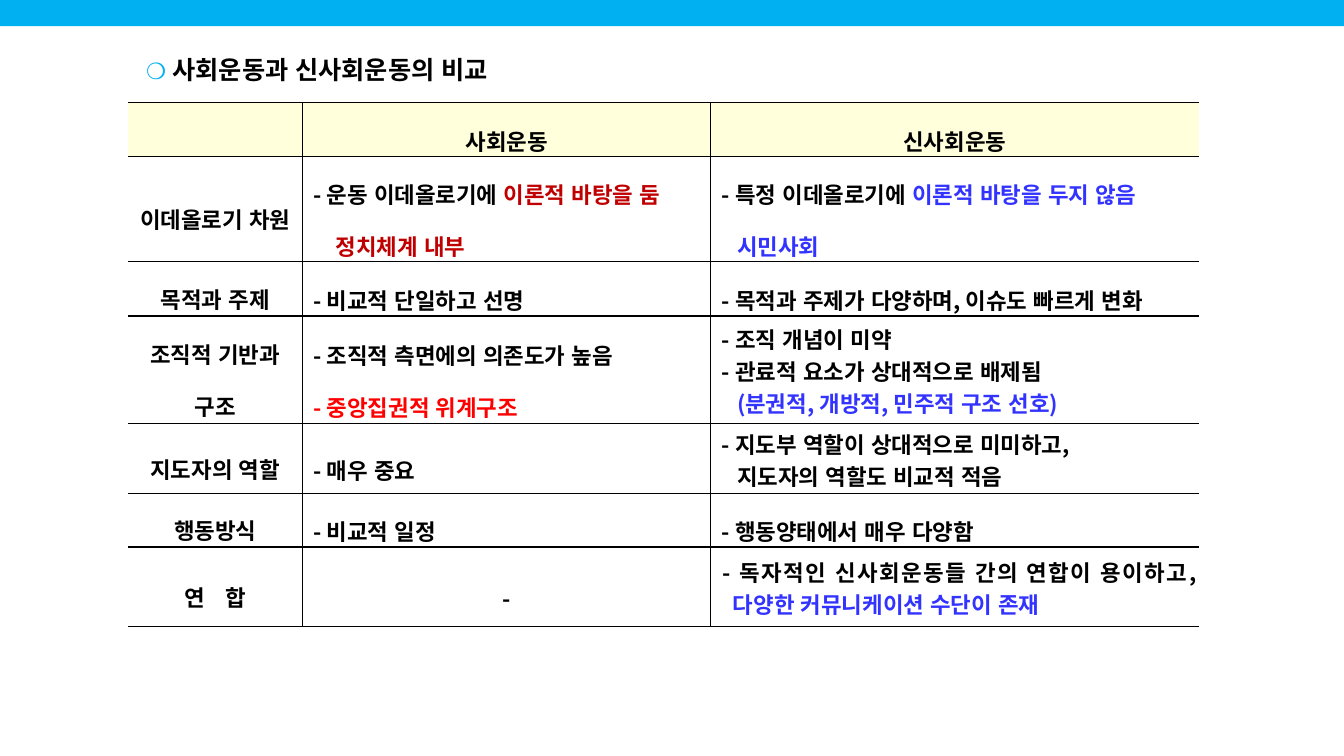
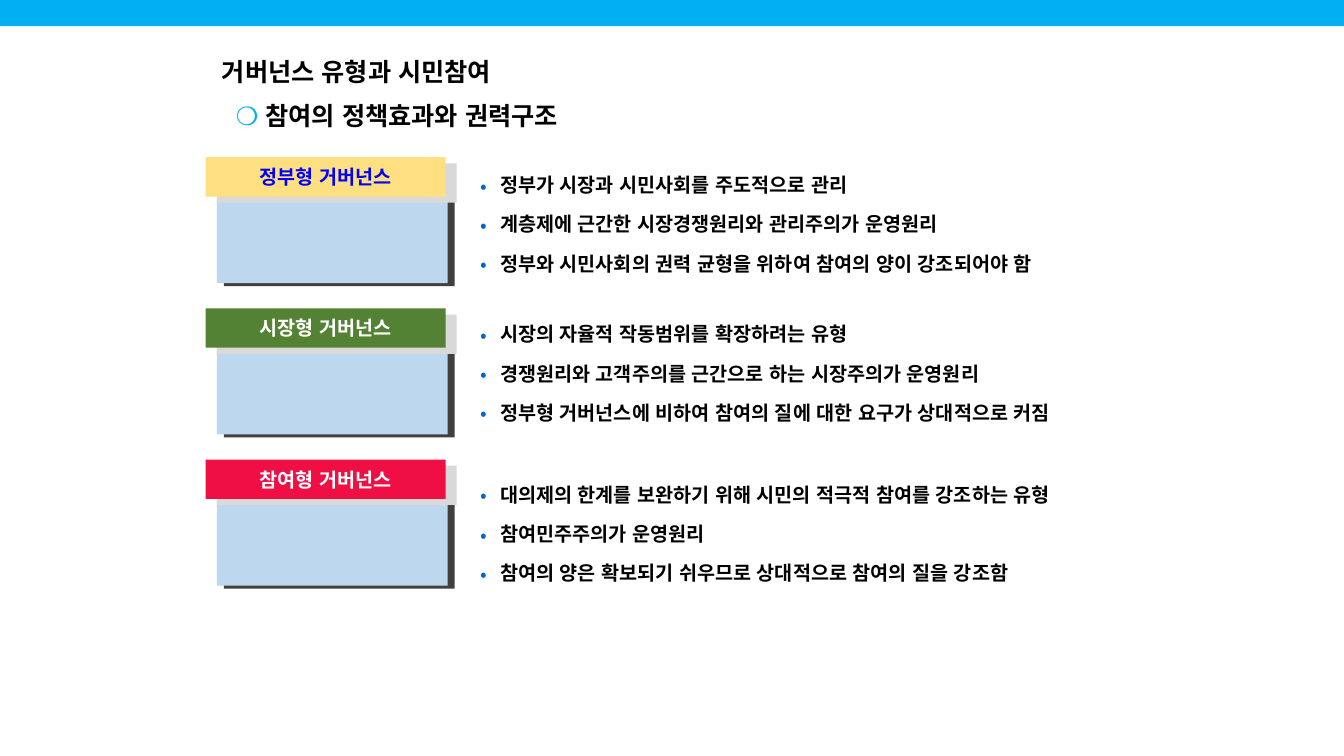
from dataclasses import dataclass

import lxml.etree
import pptx
import pptx.dml.color
import pptx.enum.lang
import pptx.enum.shapes
import pptx.enum.text
import pptx.oxml.ns
import pptx.util

Inches = pptx.util.Inches
Pt = pptx.util.Pt
ALIGN = pptx.enum.text.PP_ALIGN
ANCHOR = pptx.enum.text.MSO_ANCHOR
qn = pptx.oxml.ns.qn

FONT = "Noto Sans CJK KR"
SKY, BLACK, WHITE = "00B0F0", "000000", "FFFFFF"
DARK_RED, RED, BLUE = "C00000", "FF0000", "3333FF"
HEADER_FILL, BULLET_BLUE = "FFFFCC", "0066CC"
NO_STYLE_TABLE = "{2D5ABB26-0587-4C30-8999-92F81FD0307C}"


@dataclass(frozen=True)
class Run:
    text: str
    color: str = BLACK
    size: float = 16
    spread: float = 0


@dataclass(frozen=True)
class Line:
    """One paragraph; left and hang are in inches, before is in points."""
    runs: tuple[Run, ...]
    align: ALIGN = ALIGN.LEFT
    spacing: float = 1.0
    before: float = 0
    left: float = 0
    hang: float = 0
    bullet: str = ""
    bullet_color: str = BLACK


@dataclass(frozen=True)
class Governance:
    name: str
    fill: str
    name_color: str
    list_top: float
    points: tuple[str, ...]


def rgb(color: str) -> pptx.dml.color.RGBColor:
    return pptx.dml.color.RGBColor.from_string(color)


def add_color(parent, color: str) -> None:
    lxml.etree.SubElement(parent, qn("a:srgbClr"), val=color)


def write_lines(frame, lines: tuple[Line, ...]) -> None:
    for index, line in enumerate(lines):
        paragraph = frame.paragraphs[0] if index == 0 else frame.add_paragraph()
        paragraph.alignment = line.align
        paragraph.line_spacing = line.spacing
        paragraph.space_before = Pt(line.before)
        properties = paragraph._p.get_or_add_pPr()
        properties.set("marL", str(Inches(line.left)))
        properties.set("indent", str(Inches(-line.hang)))
        if line.bullet:
            add_color(lxml.etree.SubElement(properties, qn("a:buClr")), line.bullet_color)
            lxml.etree.SubElement(properties, qn("a:buFont"), typeface=FONT)
            lxml.etree.SubElement(properties, qn("a:buChar"), char=line.bullet)
        for part in line.runs:
            run = paragraph.add_run()
            run.text = part.text
            run.font.name = FONT
            run.font.size = Pt(part.size)
            run.font.bold = True
            run.font.color.rgb = rgb(part.color)
            run.font.language_id = pptx.enum.lang.MSO_LANGUAGE_ID.KOREAN
            lxml.etree.SubElement(run._r.rPr, qn("a:ea"), typeface=FONT)
            if part.spread:
                run._r.rPr.set("spc", str(round(part.spread * 100)))


def add_block(slide, left: float, top: float, width: float, height: float, fill: str):
    block = slide.shapes.add_shape(
        pptx.enum.shapes.MSO_SHAPE.RECTANGLE,
        Inches(left), Inches(top), Inches(width), Inches(height))
    block.shadow.inherit = False
    block.fill.solid()
    block.fill.fore_color.rgb = rgb(fill)
    block.line.fill.background()
    return block


def fill_placeholder(holder, left: float, top: float, width: float, height: float,
                     lines: tuple[Line, ...]) -> None:
    holder.left, holder.top = Inches(left), Inches(top)
    holder.width, holder.height = Inches(width), Inches(height)
    frame = holder.text_frame
    frame.word_wrap = True
    frame.auto_size = pptx.enum.text.MSO_AUTO_SIZE.NONE
    frame.vertical_anchor = ANCHOR.TOP
    write_lines(frame, lines)


def add_slide(deck, layout_name: str):
    slide = deck.slides.add_slide(deck.slide_layouts.get_by_name(layout_name))
    add_block(slide, 0, 0, 13.33, 0.26, SKY)
    return slide


def heading(text: str, ring_size: float, spacing: float) -> Line:
    return Line((Run("❍ ", SKY, ring_size), Run(text, size=18)),
                spacing=spacing, before=10, left=0.2)


def label(*runs: Run) -> Line:
    return Line(runs, ALIGN.CENTER, 1.6)


def item(*runs: Run, spacing: float = 1.6, left: float = 0.09, hang: float = 0) -> Line:
    """A line led by a dash in the colour of its first run."""
    return Line((Run("- ", runs[0].color), *runs), ALIGN.JUSTIFY, spacing,
                left=left, hang=hang)


def follow(*runs: Run, spacing: float = 1.6, left: float = 0.24) -> Line:
    """A line that carries on the item above it."""
    return Line(runs, ALIGN.JUSTIFY, spacing, left=left)


COLUMN_WIDTHS = (1.73, 4.05, 4.84)
ROW_HEIGHTS = (0.47, 0.76, 0.54, 1.07, 0.69, 0.49, 0.79)
COMPARISON = (
    ((), (label(Run("사회운동")),), (label(Run("신사회운동")),)),
    ((label(Run("이데올로기 차원")),),
     (item(Run("운동 이데올로기에 "), Run("이론적 바탕을 둠", DARK_RED)),
      follow(Run("정치체계 내부", DARK_RED), left=0.31)),
     (item(Run("특정 이데올로기에 "), Run("이론적 바탕을 두지 않음", BLUE)),
      follow(Run("시민사회", BLUE)))),
    ((label(Run("목적과 주제")),),
     (item(Run("비교적 단일하고 선명")),),
     (item(Run("목적과 주제가 다양하며, 이슈도 빠르게 변화")),)),
    ((label(Run("조직적 기반과")), label(Run("구조"))),
     (item(Run("조직적 측면에의 의존도가 높음")), item(Run("중앙집권적 위계구조", RED))),
     (item(Run("조직 개념이 미약"), spacing=1),
      item(Run("관료적 요소가 상대적으로 배제됨"), spacing=1),
      follow(Run("(분권적, 개방적, 민주적 구조 선호)", BLUE), spacing=1))),
    ((label(Run("지도자의 역할")),),
     (item(Run("매우 중요")),),
     (item(Run("지도부 역할이 상대적으로 미미하고,"), spacing=1),
      follow(Run("지도자의 역할도 비교적 적음"), spacing=1))),
    ((label(Run("행동방식")),),
     (item(Run("비교적 일정")),),
     (item(Run("행동양태에서 매우 다양함")),)),
    ((label(Run("연 ", spread=5), Run("합")),),
     (label(Run("-")),),
     (item(Run("독자적인 신사회운동들 간의 연합이 용이하고, "),
           Run("다양한 커뮤니케이션 수단이 존재", BLUE),
           spacing=1, left=0.2, hang=0.1),)),
)

GOVERNANCES = (
    Governance("정부형 거버넌스", "FFE080", "0000FF", 1.55, (
        "정부가 시장과 시민사회를 주도적으로 관리",
        "계층제에 근간한 시장경쟁원리와 관리주의가 운영원리",
        "정부와 시민사회의 권력 균형을 위하여 참여의 양이 강조되어야 함")),
    Governance("시장형 거버넌스", "548235", WHITE, 3.03, (
        "시장의 자율적 작동범위를 확장하려는 유형",
        "경쟁원리와 고객주의를 근간으로 하는 시장주의가 운영원리",
        "정부형 거버넌스에 비하여 참여의 질에 대한 요구가 상대적으로 커짐")),
    Governance("참여형 거버넌스", "EF0F44", WHITE, 4.62, (
        "대의제의 한계를 보완하기 위해 시민의 적극적 참여를 강조하는 유형",
        "참여민주주의가 운영원리",
        "참여의 양은 확보되기 쉬우므로 상대적으로 참여의 질을 강조함")),
)


def set_borders(cell, sides: str) -> None:
    """Rule the given sides, in the order L, R, T, B, ahead of the cell's fill."""
    properties = cell._tc.get_or_add_tcPr()
    for position, side in enumerate(sides):
        rule = lxml.etree.Element(qn(f"a:ln{side}"), w=str(Pt(1)))
        add_color(lxml.etree.SubElement(rule, qn("a:solidFill")), BLACK)
        properties.insert(position, rule)


def add_comparison(slide) -> None:
    table = slide.shapes.add_table(
        len(ROW_HEIGHTS), len(COLUMN_WIDTHS), Inches(1.27), Inches(1.02),
        Inches(sum(COLUMN_WIDTHS)), Inches(sum(ROW_HEIGHTS))).table
    table.first_row = table.horz_banding = False
    table._tbl.tblPr.find(qn("a:tableStyleId")).text = NO_STYLE_TABLE
    for column, width in zip(table.columns, COLUMN_WIDTHS):
        column.width = Inches(width)
    for row, height in zip(table.rows, ROW_HEIGHTS):
        row.height = Inches(height)
    for row_index, contents in enumerate(COMPARISON):
        for column_index, lines in enumerate(contents):
            cell = table.cell(row_index, column_index)
            cell.margin_left = cell.margin_right = Inches(0.02)
            cell.margin_top = Inches(0.02 if column_index else 0)
            cell.margin_bottom = 0
            if row_index == 0:
                cell.vertical_anchor = ANCHOR.TOP
                cell.fill.solid()
                cell.fill.fore_color.rgb = rgb(HEADER_FILL)
                tint = cell._tc.tcPr.find(qn("a:solidFill")).find(qn("a:srgbClr"))
                lxml.etree.SubElement(tint, qn("a:alpha"), val="70000")
            else:
                cell.vertical_anchor = ANCHOR.MIDDLE
                cell.fill.background()
            set_borders(cell, ("RTB", "LRTB", "LTB")[column_index])
            write_lines(cell.text_frame, lines)


def add_governance(slide, holder, governance: Governance, top: float) -> None:
    add_block(slide, 2.22, top + 0.33, 2.29, 0.95, "404040")
    add_block(slide, 2.15, top + 0.3, 2.29, 0.95, "BDD7EE")
    add_block(slide, 2.15, top + 0.06, 2.38, 0.39, "D9D9D9")
    name_plate = add_block(slide, 2.04, top, 2.38, 0.39, governance.fill)
    frame = name_plate.text_frame
    frame.margin_left = frame.margin_right = 0
    frame.word_wrap = True
    frame.vertical_anchor = ANCHOR.MIDDLE
    write_lines(frame, (Line((Run(governance.name, governance.name_color, 14),),
                             ALIGN.CENTER),))
    fill_placeholder(holder, 4.28, governance.list_top, 6.84, 1.21, tuple(
        Line((Run(point, size=14),), spacing=1.5, before=2.8, left=0.58, hang=0.19,
             bullet="•", bullet_color=BULLET_BLUE)
        for point in governance.points))


def build_comparison_slide(deck) -> None:
    slide = add_slide(deck, "Title Only")
    fill_placeholder(slide.shapes.title, 1.15, 0.52, 8.98, 0.41,
                     (heading("사회운동과 신사회운동의 비교", 16, 0.9),))
    add_comparison(slide)


def build_governance_slide(deck) -> None:
    slide = add_slide(deck, "Comparison")
    fill_placeholder(slide.shapes.title, 2.04, 0.51, 8.83, 0.86, (
        Line((Run("거버넌스 유형과 시민참여", size=18),), before=10, left=0.06),
        heading("참여의 정책효과와 권력구조", 18, 1)))
    bodies = [holder for holder in slide.placeholders
              if holder.placeholder_format.idx > 0]
    for index, governance in enumerate(GOVERNANCES):
        add_governance(slide, bodies[index], governance, 1.56 + 1.5 * index)
    for unused in bodies[len(GOVERNANCES):]:
        unused.element.getparent().remove(unused.element)


def main() -> None:
    deck = pptx.Presentation()
    deck.slide_width, deck.slide_height = Inches(13.33), Inches(7.5)
    build_comparison_slide(deck)
    build_governance_slide(deck)
    deck.save("out.pptx")


if __name__ == "__main__":
    main()
